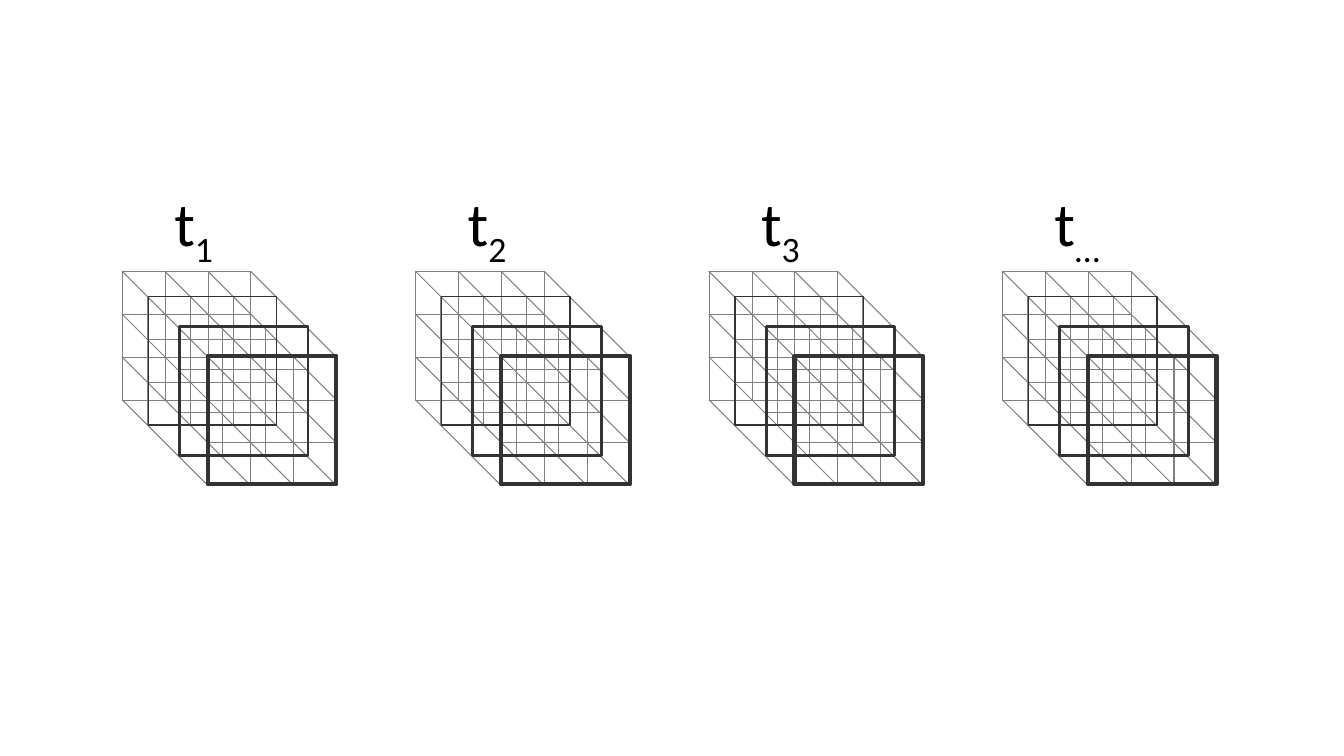
"""Draw four time steps, each a stack of gridded square sheets joined by diagonals."""
from lxml import etree
from pptx import Presentation
from pptx.dml.color import RGBColor
from pptx.enum.shapes import MSO_CONNECTOR as Connector, MSO_SHAPE as Preset
from pptx.enum.text import MSO_AUTO_SIZE as AutoSize
from pptx.oxml.ns import qn
from pptx.util import Inches, Pt

COLORS = {"grid": "808080", "frame": "333333", "label": "000000"}
SIDE, DEPTH, CELLS = 1.275, 0.85, 3
CELL = SIDE / CELLS
FAR = SIDE + DEPTH
LEFT, TOP, STEP = 1.21, 2.69, 2.91
SHEETS = [(0, 0), (0.25, 0.25), (0.57, 0.55), (0.85, 0.85)]
FRAMES = [(0.26, 0.25, 1), (0.57, 0.55, 2), (0.85, 0.84, 3)]
LABELS = [("1", 0.62), ("2", 0.62), ("3", 0.62), ("…", 0.72)]


def add_outline(group, left, top, width, height, color, weight):
    box = group.shapes.add_shape(Preset.RECTANGLE, Inches(left), Inches(top), Inches(width), Inches(height))
    box.shadow.inherit = False
    box.fill.background()
    box.line.color.rgb = RGBColor.from_string(COLORS[color])
    box.line.width = Pt(weight)
    return box


def add_sheet(group, left, top):
    for index in range(CELLS):
        add_outline(group, left, top + index * CELL, SIDE, CELL, "grid", 0.1)
    shift = (SIDE - CELL) / 2
    for index in range(CELLS):
        column = add_outline(group, left + index * CELL - shift, top + shift, SIDE, CELL, "grid", 0.1)
        column.rotation = 270


deck = Presentation()
deck.slide_width, deck.slide_height = Inches(13.33), Inches(7.5)
page = deck.slides.add_slide(deck.slide_layouts[6])

starts = [index * CELL for index in range(CELLS + 1)]
diagonals = [(start, 0, FAR, FAR - start) for start in starts]
diagonals += [(0, start, FAR - start, FAR) for start in starts[1:]]

for number, (subscript, label_width) in enumerate(LABELS):
    left = LEFT + number * STEP
    stack = page.shapes.add_group_shape()

    for across, down in SHEETS[:2]:
        add_sheet(stack, left + across, TOP + down)

    for x1, y1, x2, y2 in diagonals:
        diagonal = stack.shapes.add_connector(
            Connector.STRAIGHT, Inches(left + x1), Inches(TOP + y1), Inches(left + x2), Inches(TOP + y2))
        diagonal.line.color.rgb = RGBColor.from_string(COLORS["grid"])
        diagonal.line.width = Pt(0.75)
        etree.SubElement(diagonal._element.spPr, qn("a:effectLst"))

    for across, down in SHEETS[2:]:
        add_sheet(stack, left + across, TOP + down)

    for across, down, weight in FRAMES:
        add_outline(stack, left + across, TOP + down, SIDE, SIDE, "frame", weight)

    label = stack.shapes.add_textbox(Inches(left + 0.42), Inches(1.79), Inches(label_width), Inches(0.84))
    label.text_frame.word_wrap = False
    label.text_frame.auto_size = AutoSize.SHAPE_TO_FIT_TEXT
    para = label.text_frame.paragraphs[0]
    para.font.name = "Calibri"
    para.font.size = Pt(44)
    para.font.color.rgb = RGBColor.from_string(COLORS["label"])
    para.add_run().text = "t"
    span = para.add_run()
    span.text = subscript
    span._r.get_or_add_rPr().set("baseline", "-25000")

deck.save("out.pptx")
